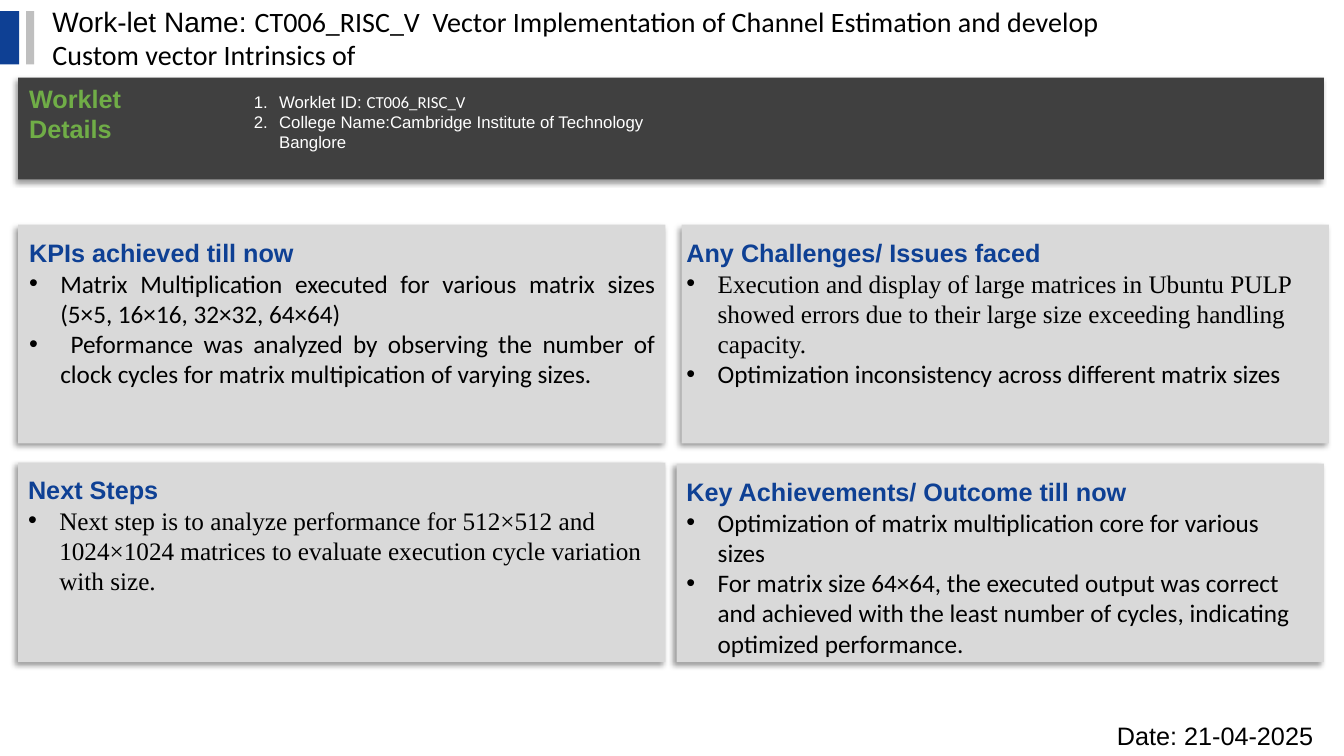
from lxml import etree
from pptx import Presentation
from pptx.dml.color import RGBColor
from pptx.enum import shapes, text
from pptx.oxml import ns
from pptx.util import Inches, Pt

BLUE = RGBColor(0x0E, 0x40, 0x94)
GREEN = RGBColor(0x70, 0xAD, 0x47)
DARK = RGBColor(0x40, 0x40, 0x40)
PALE = RGBColor(0xD9, 0xD9, 0xD9)
GREY = RGBColor(0xBF, 0xBF, 0xBF)
BLACK = RGBColor(0, 0, 0)
WHITE = RGBColor(0xFF, 0xFF, 0xFF)
SANS, BODY, SERIF = "Arial", "Calibri", "Times New Roman"

# Panel place, text place, heading, justified, bullets with their fonts
PANELS = [
    ((0.18, 2.23, 6.42, 2.17), (0.19, 2.31, 6.41, 2.09),
     "KPIs achieved till now", True, [
        ("Matrix Multiplication executed for various matrix sizes "
         "(5×5, 16×16, 32×32, 64×64)", BODY),
        (" Peformance was analyzed by observing the number of clock cycles "
         "for matrix multipication of varying sizes.", BODY)]),
    ((6.76, 2.23, 6.42, 2.17), (6.71, 2.31, 6.42, 2.09),
     "Any Challenges/ Issues faced", False, [
        ("Execution and display of large matrices in Ubuntu PULP showed "
         "errors due to their large size exceeding handling capacity.", SERIF),
        ("Optimization inconsistency across different matrix sizes", BODY)]),
    ((0.18, 4.59, 6.42, 1.98), (0.18, 4.66, 6.42, 2.09),
     "Next Steps", False, [
        ("Next step is to analyze performance for 512×512 and 1024×1024 "
         "matrices to evaluate execution cycle variation with size.", SERIF)]),
    ((6.71, 4.6, 6.42, 1.97), (6.71, 4.68, 6.3, 1.89),
     "Key Achievements/ Outcome till now", False, [
        ("Optimization of matrix multiplication core for various sizes", BODY),
        ("For matrix size 64×64, the executed output was correct and achieved "
         "with the least number of cycles, indicating "
         "optimized performance.", BODY)]),
]


def add_rect(slide, place, color, shade=False):
    rect = slide.shapes.add_shape(
        shapes.MSO_SHAPE.RECTANGLE, *map(Inches, place))
    rect.fill.solid()
    rect.fill.fore_color.rgb = color
    rect.line.fill.background()
    rect.shadow.inherit = False
    if shade:
        effects = rect._element.spPr.find(ns.qn("a:effectLst"))
        outer = etree.SubElement(
            effects, ns.qn("a:outerShdw"), blurRad=str(Pt(4)),
            dist=str(Pt(3)), dir="8100000", algn="tr", rotWithShape="0")
        tint = etree.SubElement(outer, ns.qn("a:srgbClr"), val="000000")
        etree.SubElement(tint, ns.qn("a:alpha"), val="40000")


def add_box(slide, place):
    frame = slide.shapes.add_textbox(*map(Inches, place)).text_frame
    frame.word_wrap = True
    return frame


def add_run(para, words, font, size, color, bold=False):
    run = para.add_run()
    run.text = words
    run.font.name = font
    run.font.size = Pt(size)
    run.font.color.rgb = color
    run.font.bold = bold


def set_list(para, indent, number=False):
    """Give the paragraph a hanging bullet or number."""
    props = para._p.get_or_add_pPr()
    props.set("marL", str(Inches(indent)))
    props.set("indent", str(-Inches(indent)))
    etree.SubElement(props, ns.qn("a:buFont"), typeface=SANS)
    if number:
        etree.SubElement(props, ns.qn("a:buAutoNum"), type="arabicPeriod")
    else:
        etree.SubElement(props, ns.qn("a:buChar"), char="•")


def set_title(slide):
    title = slide.shapes.title
    title.left, title.top = Inches(0.42), Inches(-0.01)
    title.width, title.height = Inches(10.96), Inches(0.77)
    frame = title.text_frame
    frame.word_wrap = True
    frame.auto_size = text.MSO_AUTO_SIZE.NONE
    frame.vertical_anchor = text.MSO_ANCHOR.MIDDLE
    para = frame.paragraphs[0]
    para.alignment = text.PP_ALIGN.LEFT
    add_run(para, "Work-let Name: ", SANS, 20, BLACK)
    add_run(para, "CT006_RISC_V  Vector Implementation of Channel Estimation "
            "and develop Custom vector Intrinsics of", BODY, 20, BLACK)


def add_band(slide):
    add_rect(slide, (0.18, 0.77, 12.95, 1.01), DARK, True)
    label = add_box(slide, (0.19, 0.78, 1.82, 0.4))
    add_run(label.paragraphs[0], "Worklet Details", SANS, 18, GREEN, True)
    frame = add_box(slide, (2.42, 0.86, 4.56, 0.71))
    first, second = frame.paragraphs[0], frame.add_paragraph()
    for para in (first, second):
        set_list(para, 0.25, True)
    add_run(first, "Worklet ID: ", SANS, 12, WHITE)
    add_run(first, "CT006_RISC_V", BODY, 12, WHITE)
    add_run(second, "College Name:Cambridge Institute of Technology Banglore",
            SANS, 12, WHITE)


def add_panel(slide, panel, place, head, justify, points):
    add_rect(slide, panel, PALE, True)
    frame = add_box(slide, place)
    add_run(frame.paragraphs[0], head, SANS, 18, BLUE, True)
    for words, font in points:
        para = frame.add_paragraph()
        if justify:
            para.alignment = text.PP_ALIGN.JUSTIFY
        set_list(para, 0.31)
        add_run(para, words, font, 18, BLACK)


def main():
    deck = Presentation()
    deck.slide_width, deck.slide_height = Inches(13.33), Inches(7.5)
    slide = deck.slides.add_slide(deck.slide_layouts[5])
    set_title(slide)
    add_rect(slide, (0, 0.11, 0.19, 0.53), BLUE)
    add_rect(slide, (0.26, 0.11, 0.08, 0.53), GREY)
    add_band(slide)
    for panel in PANELS:
        add_panel(slide, *panel)
    date = add_box(slide, (10.98, 7.1, 2.35, 0.4))
    date.vertical_anchor = text.MSO_ANCHOR.MIDDLE
    add_run(date.paragraphs[0], "Date: 21-04-2025", SANS, 18, BLACK)
    deck.save("out.pptx")


if __name__ == "__main__":
    main()
